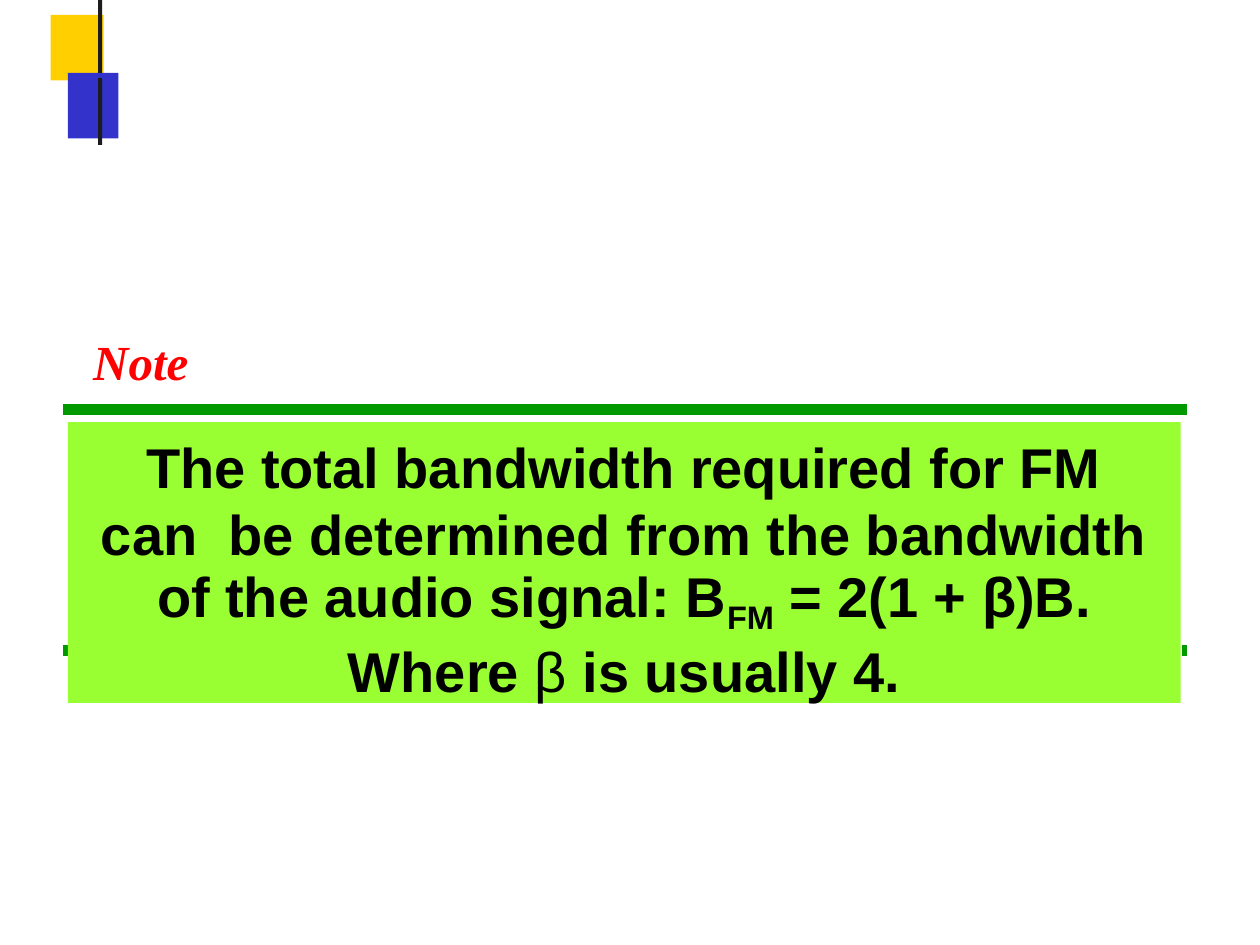
from lxml import etree
from pptx import Presentation
from pptx import util as u
from pptx.dml.color import RGBColor
from pptx.enum import shapes, text
from pptx.oxml.ns import qn

COLORS = {
    "yellow": "FFCF00",
    "blue": "3333CC",
    "bar": "1C1C1C",
    "rule": "009900",
    "panel": "99FF33",
    "statement": "000000",
    "note": "FF0000",
}
STATEMENT_SIZE = 32


def color(name):
    return RGBColor.from_string(COLORS[name])


def add_block(slide, left, top, width, height, fill):
    block = slide.shapes.add_shape(
        shapes.MSO_SHAPE.RECTANGLE, u.Cm(left), u.Cm(top), u.Cm(width), u.Cm(height))
    block.shadow.inherit = False
    block.fill.solid()
    block.fill.fore_color.rgb = color(fill)
    block.line.fill.background()
    return block


def add_rule(slide, x1, y1, x2, y2, weight):
    rule = slide.shapes.add_connector(
        shapes.MSO_CONNECTOR.STRAIGHT, u.Cm(x1), u.Cm(y1), u.Cm(x2), u.Cm(y2))
    rule.line.color.rgb = color("rule")
    rule.line.width = u.Pt(weight)
    etree.SubElement(rule._element.spPr, qn("a:effectLst"))


def set_frame(frame, top_inset):
    frame.word_wrap = True
    frame.vertical_anchor = text.MSO_ANCHOR.TOP
    frame.margin_left = frame.margin_right = frame.margin_bottom = 0
    frame.margin_top = u.Cm(top_inset)


def add_statement(paragraph, parts, side_margin, space_before):
    """Fill a centred paragraph from (wording, style) parts."""
    paragraph.alignment = text.PP_ALIGN.CENTER
    paragraph.space_before = u.Pt(space_before)
    properties = paragraph._p.get_or_add_pPr()
    for side in ("marL", "marR"):
        properties.set(side, str(u.Cm(side_margin)))
    for wording, style in parts:
        run = paragraph.add_run()
        run.text = wording
        run.font.name = "Arial"
        run.font.size = u.Pt(STATEMENT_SIZE)
        run.font.bold = style != "light"
        run.font.color.rgb = color("statement")
        if style == "subscript":
            run._r.get_or_add_rPr().set("baseline", "-21000")


def add_panel(slide):
    frame = add_block(slide, 1.37, 8.51, 22.43, 5.66, "panel").text_frame
    set_frame(frame, 0.2)
    add_statement(frame.paragraphs[0], [
        ("The total bandwidth required for FM can  be determined from the bandwidth", "bold"),
    ], 0.48, 0)
    formula = frame.add_paragraph()
    add_statement(formula, [
        ("of the audio signal: B", "bold"),
        ("FM", "subscript"),
        (" = 2(1 + β)B. Where ", "bold"),
        ("β", "light"),
        (" is usually 4.", "bold"),
    ], 1.65, 1.2)
    formula.line_spacing = u.Pt(38.5)


def add_note(slide):
    box = slide.shapes.add_textbox(u.Cm(1.88), u.Cm(6.63), u.Cm(2.2), u.Cm(1.24))
    set_frame(box.text_frame, 0.06)
    box.text_frame.text = "Note"
    font = box.text_frame.paragraphs[0].runs[0].font
    font.name = "Times New Roman"
    font.size = u.Pt(28)
    font.bold = font.italic = True
    font.color.rgb = color("note")


def main():
    deck = Presentation()
    deck.slide_width, deck.slide_height = u.Cm(25.4), u.Cm(19.05)
    slide = deck.slides.add_slide(deck.slide_layouts[6])

    add_block(slide, 1.02, 0.3, 1.07, 1.32, "yellow")
    add_block(slide, 1.37, 1.47, 1.02, 1.32, "blue")
    for top, height in ((0, 1.47), (1.57, 1.35)):
        add_block(slide, 1.98, top, 0.08, height, "bar")

    add_rule(slide, 1.27, 8.26, 23.93, 8.26, 6)
    for x in (1.32, 23.88):
        add_rule(slide, x, 13.01, x, 13.23, 2.87)
    add_panel(slide)
    add_note(slide)
    deck.save("out.pptx")


if __name__ == "__main__":
    main()
